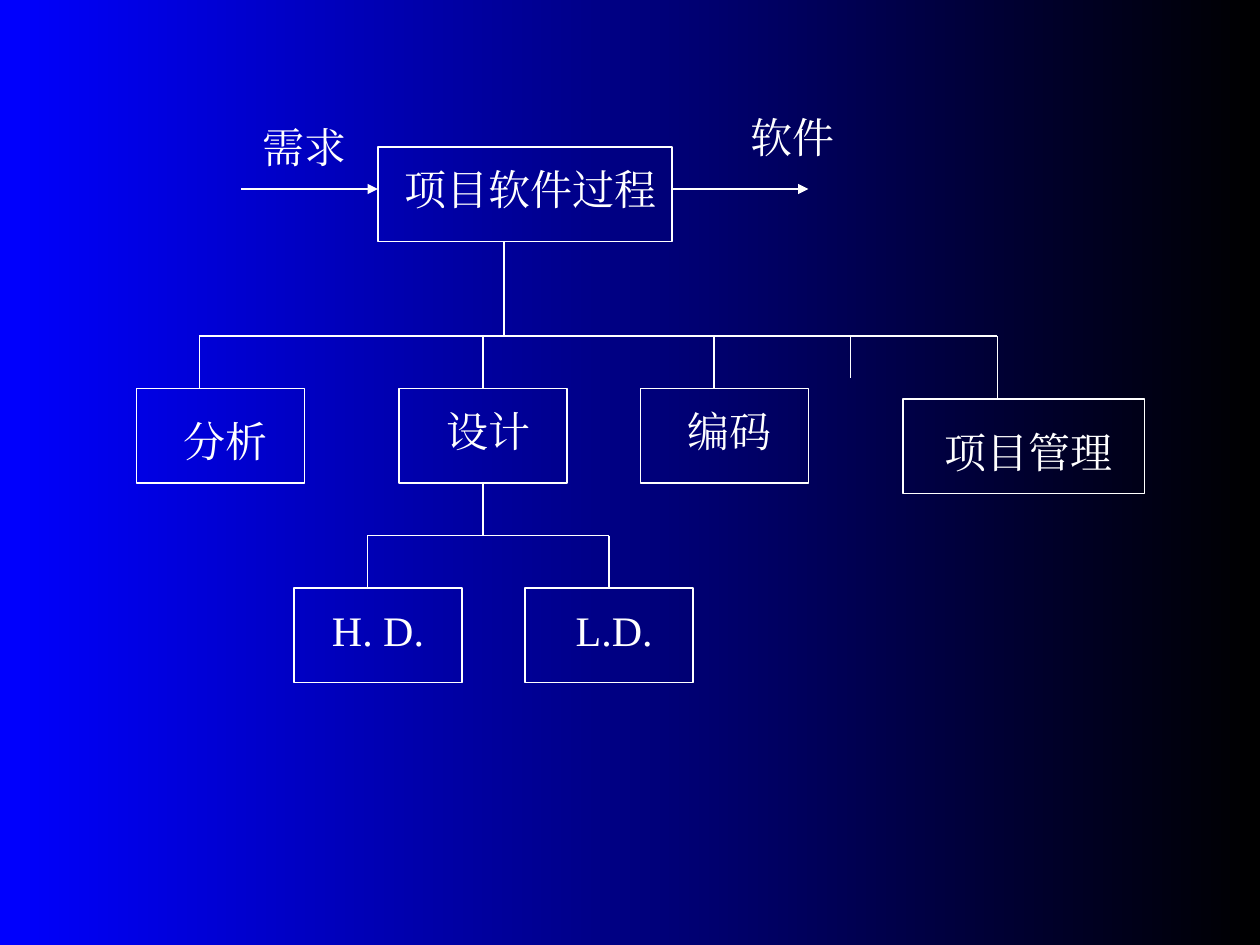
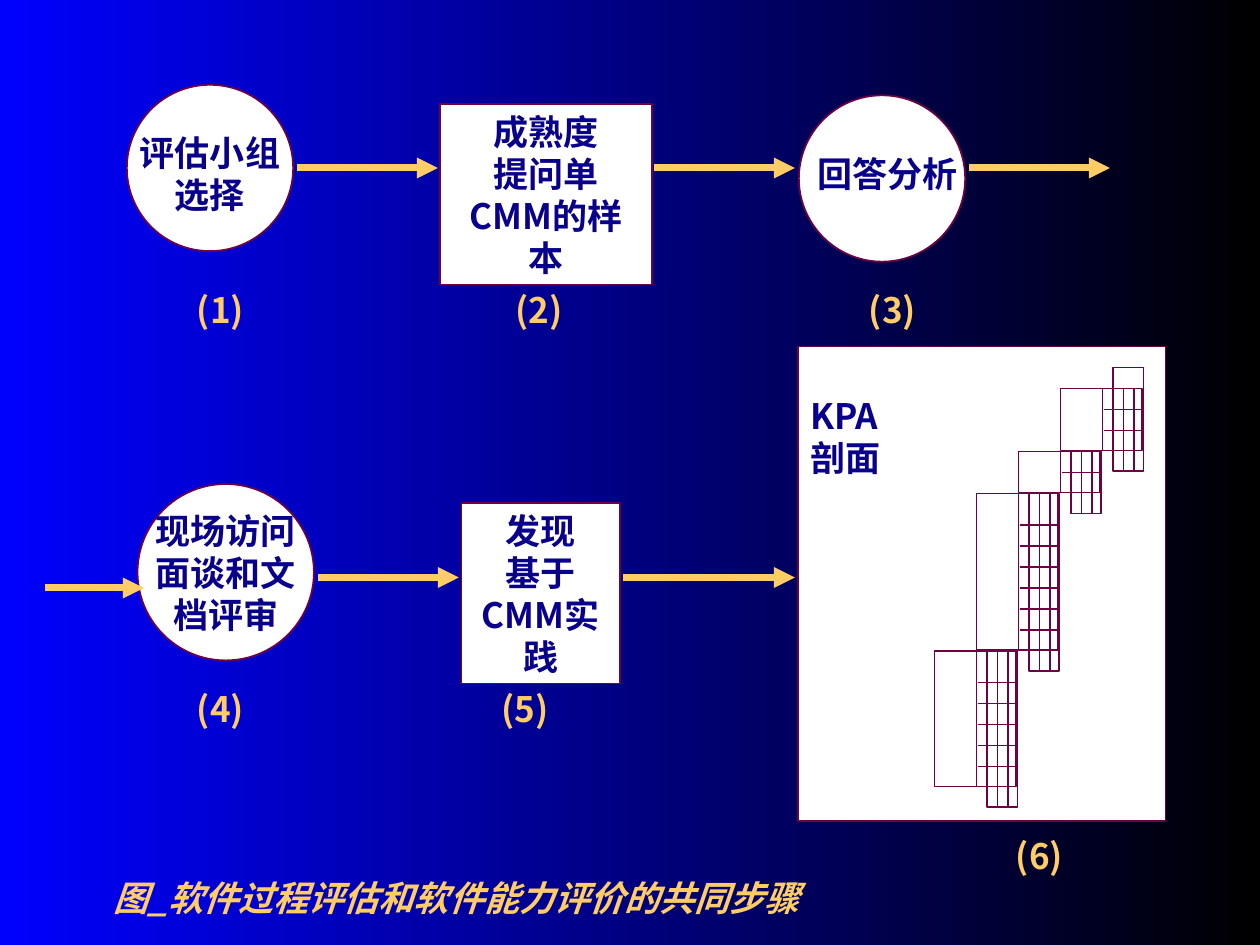
from collections import namedtuple

from lxml.etree import SubElement
from pptx import Presentation
from pptx.dml.color import RGBColor
from pptx.enum.shapes import MSO_CONNECTOR as Conn, MSO_SHAPE as Kind
from pptx.enum.text import MSO_ANCHOR as Anchor, PP_ALIGN as Align
from pptx.oxml.ns import qn
from pptx.util import Inches, Pt

WIDTH, HEIGHT = Inches(10), Inches(7.5)
UNIT = WIDTH / 120  # grid of 120 columns by 90 rows

WHITE = RGBColor(0xFF, 0xFF, 0xFF)
BLACK = RGBColor(0x00, 0x00, 0x00)
BLUE = RGBColor(0x00, 0x00, 0xFF)
NAVY = RGBColor(0x09, 0x01, 0x8C)
PLUM = RGBColor(0x6E, 0x00, 0x43)
GOLD = RGBColor(0xFF, 0xCC, 0x66)

SANS = "Noto Sans CJK SC"
Style = namedtuple("Style", "font size color bold italic", defaults=(False, False))
NODE = Style("Times New Roman", 24, WHITE)
STEP = Style(SANS, 20, NAVY, True)
MARK = Style(SANS, 20, GOLD, True)
TITLE = Style(SANS, 20, GOLD, True, True)

Pen = namedtuple("Pen", "color width")
THIN = Pen(WHITE, 0.75)
EDGE = Pen(PLUM, 1)
FLOW = Pen(GOLD, 4)


def grid(*cells):
    return [round(cell * UNIT) for cell in cells]


def new_slide(deck):
    """Add a blank slide with the blue to black background."""
    slide = deck.slides.add_slide(deck.slide_layouts[6])
    fill = slide.background.fill
    fill.gradient()
    fill.gradient_angle = 180
    for stop, color in zip(fill.gradient_stops, (BLACK, BLUE)):
        stop.color.rgb = color
    return slide


def write(shape, lines, style, align=Align.CENTER):
    frame = shape.text_frame
    frame.word_wrap = True
    frame.vertical_anchor = Anchor.TOP
    frame.text = "\n".join(lines)
    for para in frame.paragraphs:
        para.alignment = align
        font = para.font
        font.size = Pt(style.size)
        font.bold, font.italic = style.bold, style.italic
        font.color.rgb = style.color
        font.name = style.font
        props = para._p.pPr.find(qn("a:defRPr"))
        SubElement(props, qn("a:ea")).set("typeface", style.font)


def label(slide, x, y, w, h, text, style, align=Align.CENTER):
    write(slide.shapes.add_textbox(*grid(x, y, w, h)), [text], style, align)


def block(slide, kind, x, y, w, h, pen, fill=None):
    """Draw an outlined shape, hollow unless a fill is given."""
    shape = slide.shapes.add_shape(kind, *grid(x, y, w, h))
    shape.shadow.inherit = False
    if fill is None:
        shape.fill.background()
    else:
        shape.fill.solid()
        shape.fill.fore_color.rgb = fill
    shape.line.color.rgb = pen.color
    shape.line.width = Pt(pen.width)
    return shape


def link(slide, x1, y1, x2, y2, pen, head=False, start=None, end=None):
    """Draw a line; start and end are boxes joined at bottom and top."""
    line = slide.shapes.add_connector(Conn.STRAIGHT, *grid(x1, y1, x2, y2))
    line.line.color.rgb = pen.color
    line.line.width = Pt(pen.width)
    if head:
        SubElement(line.line._get_or_add_ln(), qn("a:tailEnd")).set("type", "triangle")
    SubElement(line._element.spPr, qn("a:effectLst"))
    if start is not None:
        line.begin_connect(start, 2)
    if end is not None:
        line.end_connect(end, 0)


def node(slide, x, y, w, text, dx, dy, wide):
    """Draw a tree box and its text, shifted by dx and dy."""
    box = block(slide, Kind.RECTANGLE, x, y, w, 9, THIN)
    label(slide, x + dx, y + dy, wide, 6, text, NODE)
    return box


def fork(slide, x, top, bar, drops, start=None):
    """Draw a trunk, a cross bar and drops of (x, bottom, joined box)."""
    link(slide, x, top, x, bar, THIN, start=start)
    ends = [drop[0] for drop in drops]
    link(slide, min(ends), bar, max(ends), bar, THIN)
    for left, low, box in drops:
        link(slide, left, bar, left, low, THIN, end=box)


def tree_slide(deck):
    slide = new_slide(deck)
    node(slide, 36, 14, 28, "项目软件过程", 0, 1, 29)
    node(slide, 13, 37, 16, "分析", -1, 2, 19)
    design = node(slide, 38, 37, 16, "设计", 0, 1, 17)
    node(slide, 61, 37, 16, "编码", -1, 1, 19)
    node(slide, 86, 38, 23, "项目管理", 0, 2, 24)
    node(slide, 28, 56, 16, "H. D.", -2, 1, 20)
    low = node(slide, 50, 56, 16, "L.D.", 0, 1, 17)

    fork(slide, 48, 23, 32, [(19, 37, None), (46, 37, design), (68, 37, None),
                             (81, 36, None), (95, 38, None)])
    fork(slide, 46, 46, 51, [(35, 56, None), (58, 56, low)], start=design)

    for x in (23, 64):
        link(slide, x, 18, x + 13, 18, THIN, head=True)
    label(slide, 23, 11, 12, 6, "需求", NODE)
    label(slide, 63, 10, 25, 6, "软件", NODE)


def circle(slide, cx, cy, size, text, rows, dx=0, dy=0):
    """Draw a round step about its centre, with its text over it."""
    block(slide, Kind.OVAL, cx - size / 2, cy - size / 2, size, size, EDGE, WHITE)
    wide, high = 17.2, 4 * rows + 1.2
    label(slide, cx + dx - wide / 2, cy + dy - high / 2, wide, high, text, STEP)


def square(slide, cx, cy, w, lines):
    high = 17.2
    box = block(slide, Kind.RECTANGLE, cx - w / 2, cy - high / 2, w, high, EDGE, WHITE)
    write(box, lines, STEP)


def level(slide, x, top, low, rows, cap):
    """Draw one level: a wide box and a ruled strip hanging below it."""
    right, foot = x + 7.9, low + 1.9
    block(slide, Kind.RECTANGLE, x, top, 7.8, low - top - 0.1, EDGE)
    block(slide, Kind.RECTANGLE, x + 5, top - cap, 2.9, foot - top + cap, EDGE)
    for dx, end in ((4, low - 0.1), (6, foot), (7, foot)):
        link(slide, x + dx, top, x + dx, end, EDGE)
    for row in range(1, rows + 1):
        y = low - 2 * row
        link(slide, x + 4.1, y, right, y, EDGE)


def profile(slide, x, y, w, h):
    """Draw the panel with its heading and rising levels."""
    panel = block(slide, Kind.RECTANGLE, x, y, w, h, EDGE, WHITE)
    write(panel, ["KPA", "剖面"], STEP, Align.LEFT)
    panel.text_frame.margin_top = Inches(0.38)
    levels = [(29, 42, 5, 0), (14, 29, 6, 0), (10, 14, 1, 0), (4, 10, 2, 2)]
    for i, (top, low, rows, cap) in enumerate(levels):
        level(slide, x + 13 + 4 * i, y + top, y + low, rows, cap)


def steps_slide(deck):
    slide = new_slide(deck)
    circle(slide, 20, 16, 15.84, "评估小组选择", 2, dy=0.5)
    square(slide, 52, 18.5, 20.2, ["成熟度", "提问单", "CMM的样本"])
    circle(slide, 84, 17, 15.84, "回答分析", 1, dx=0.5, dy=-0.5)
    circle(slide, 21.5, 54.5, 16.8, "现场访问面谈和文档评审", 3)
    square(slide, 51.5, 56.5, 15.1, ["发现", "基于CMM实践"])
    profile(slide, 76, 33, 35, 45.2)

    gap = 0.3
    for left, right, y in ((28, 42, 16), (62, 76, 16), (92, 106, 16),
                           (4, 14, 56), (30, 44, 55), (59, 76, 55)):
        link(slide, left + gap, y, right - gap, y, FLOW, head=True)

    marks = [(21, 29.5), (52, 29.5), (85, 29.5), (21, 67.5), (50, 67.5), (99, 81.5)]
    for number, (cx, cy) in enumerate(marks, 1):
        align = Align.JUSTIFY if number == 2 else Align.CENTER
        label(slide, cx - 4.1, cy - 2.6, 8.2, 5.2, f"({number})", MARK, align)
    label(slide, 0, 82.9, 87, 5.2, "图_软件过程评估和软件能力评价的共同步骤", TITLE)


def main():
    deck = Presentation()
    deck.slide_width, deck.slide_height = WIDTH, HEIGHT
    tree_slide(deck)
    steps_slide(deck)
    deck.save("out.pptx")


if __name__ == "__main__":
    main()
